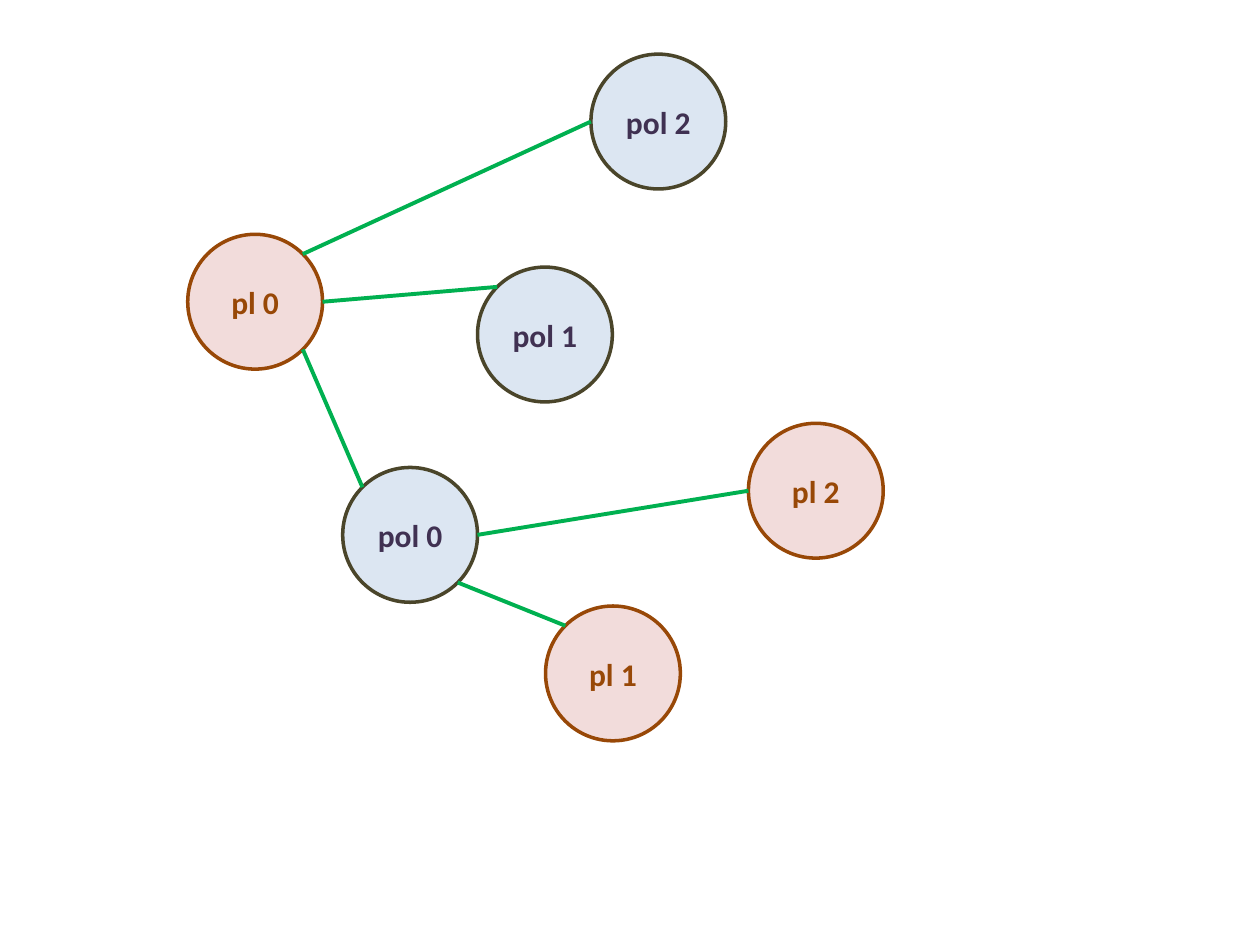
import math
from dataclasses import dataclass

from lxml import etree
from pptx import Presentation
from pptx import util as u
from pptx.dml.color import RGBColor
from pptx.enum import shapes, text
from pptx.oxml import ns

PINK = RGBColor(0xF2, 0xDC, 0xDB)
BROWN = RGBColor(0x98, 0x48, 0x07)
PALE_BLUE = RGBColor(0xDC, 0xE6, 0xF2)
OLIVE = RGBColor(0x4A, 0x45, 0x2A)
PURPLE = RGBColor(0x40, 0x31, 0x52)
GREEN = RGBColor(0x00, 0xB0, 0x50)

WIDTH, HEIGHT = u.Inches(10), u.Inches(7.5)
DIAMETER = u.Inches(1.07)

# Directions on a circle, in degrees clockwise from the right
RIGHT, LOWER_RIGHT, LEFT, UPPER_LEFT, UPPER_RIGHT = 0, 45, 180, 225, 315


@dataclass(frozen=True)
class Style:
    fill: RGBColor
    line: RGBColor
    font: RGBColor


@dataclass(frozen=True)
class Node:
    label: str
    left: float  # percent of the slide's width
    top: float  # percent of the slide's height
    style: Style

    @property
    def corner(self) -> tuple[int, int]:
        return round(WIDTH * self.left / 100), round(HEIGHT * self.top / 100)

    def rim(self, angle: float) -> tuple[int, int]:
        x, y = self.corner
        radius, a = DIAMETER / 2, math.radians(angle)
        return (round(x + radius * (1 + math.cos(a))),
                round(y + radius * (1 + math.sin(a))))


@dataclass(frozen=True)
class Edge:
    start: str
    start_angle: float
    end: str
    end_angle: float


PL = Style(PINK, BROWN, BROWN)
POL = Style(PALE_BLUE, OLIVE, PURPLE)

NODES = [
    Node("pl 0", 14.9, 24.8, PL),
    Node("pol 0", 27.2, 49.47, POL),
    Node("pol 1", 37.9, 28.27, POL),
    Node("pol 2", 46.9, 5.73, POL),
    Node("pl 1", 43.3, 64.13, PL),
    Node("pl 2", 59.4, 44.8, PL),
]
EDGES = [
    Edge("pl 2", LEFT, "pol 0", RIGHT),
    Edge("pl 1", UPPER_LEFT, "pol 0", LOWER_RIGHT),
    Edge("pol 1", UPPER_LEFT, "pl 0", RIGHT),
    Edge("pol 2", LEFT, "pl 0", UPPER_RIGHT),
    Edge("pol 0", UPPER_LEFT, "pl 0", LOWER_RIGHT),
]


def draw_node(s, node: Node) -> None:
    sp = s.shapes.add_shape(shapes.MSO_SHAPE.OVAL, *node.corner, DIAMETER, DIAMETER)
    sp.name = node.label
    sp.shadow.inherit = False
    sp.fill.solid()
    sp.fill.fore_color.rgb = node.style.fill
    sp.line.color.rgb = node.style.line
    sp.line.width = u.Pt(2)
    tf = sp.text_frame
    tf.text = node.label
    tf.vertical_anchor = text.MSO_ANCHOR.MIDDLE
    p = tf.paragraphs[0]
    p.alignment = text.PP_ALIGN.CENTER
    font = p.runs[0].font
    font.name, font.size, font.bold = "Calibri", u.Pt(18), True
    font.color.rgb = node.style.font


def draw_edge(s, edge: Edge, nodes: dict[str, Node]) -> None:
    line = s.shapes.add_connector(
        shapes.MSO_CONNECTOR.STRAIGHT,
        *nodes[edge.start].rim(edge.start_angle),
        *nodes[edge.end].rim(edge.end_angle))
    line.name = f"{edge.start} to {edge.end}"
    line.line.color.rgb = GREEN
    line.line.width = u.Pt(2.25)
    etree.SubElement(line._element.spPr, ns.qn("a:effectLst"))


prs = Presentation()
prs.slide_width, prs.slide_height = WIDTH, HEIGHT
s = prs.slides.add_slide(prs.slide_layouts[6])

# Circles first, then the links between them
for node in NODES:
    draw_node(s, node)
by_label = {node.label: node for node in NODES}
for edge in EDGES:
    draw_edge(s, edge, by_label)

prs.save("out.pptx")
